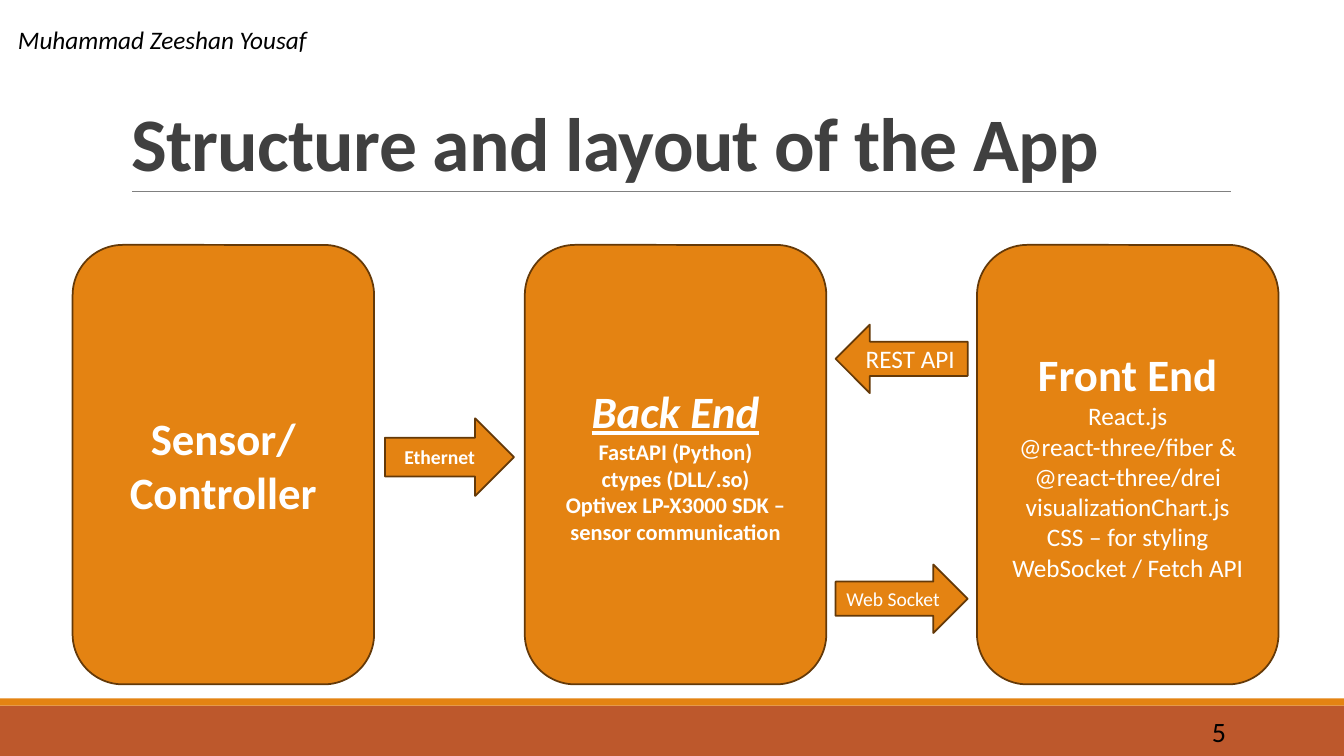
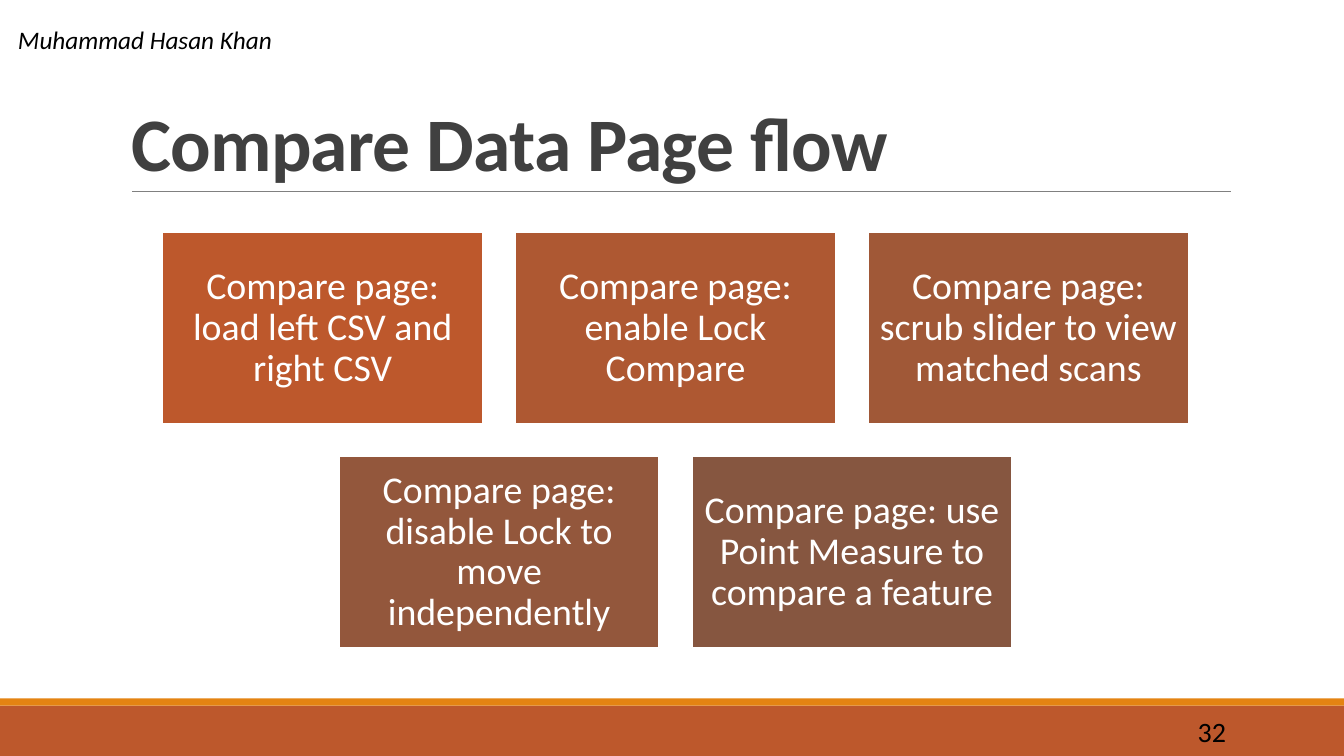
import pptx
import pptx.util
import pptx.dml.color
import pptx.enum.shapes
import pptx.enum.text
import pptx.oxml

Inches = pptx.util.Inches
Pt = pptx.util.Pt
RGBColor = pptx.dml.color.RGBColor
SHAPE = pptx.enum.shapes.MSO_SHAPE
ALIGN = pptx.enum.text.PP_ALIGN
ANCHOR = pptx.enum.text.MSO_ANCHOR

FONT = "Calibri"
WHITE = RGBColor(0xFF, 0xFF, 0xFF)
BLACK = RGBColor(0, 0, 0)
TITLE_GREY = RGBColor(0x40, 0x40, 0x40)
RULE_GREY = RGBColor(0x80, 0x80, 0x80)
ORANGE = RGBColor(0xE4, 0x83, 0x12)
RUST = RGBColor(0xBD, 0x58, 0x2C)
OUTLINE = RGBColor(0x64, 0x39, 0x08)
CARD_FILLS = [RUST, RGBColor(0xAE, 0x58, 0x32), RGBColor(0xA0, 0x58, 0x37),
              RGBColor(0x93, 0x57, 0x3C), RGBColor(0x86, 0x56, 0x40)]

SLIDE_W, SLIDE_H = 13.33, 7.5


def write(p, text, size, color, align=ALIGN.LEFT, bold=False, italic=False, underline=False):
    p.text = text
    p.alignment = align
    for r in p.runs:
        f = r.font
        f.name, f.size, f.color.rgb = FONT, Pt(size), color
        f.bold, f.italic, f.underline = bold, italic, underline


def add_box(s, kind, box, fill, line=None):
    sp = s.shapes.add_shape(kind, *map(Inches, box))
    sp.shadow.inherit = False
    sp.fill.solid()
    sp.fill.fore_color.rgb = fill
    if line is None:
        sp.line.fill.background()
    else:
        sp.line.color.rgb = line
        sp.line.width = Pt(1.25)
    sp.text_frame.word_wrap = True
    sp.text_frame.vertical_anchor = ANCHOR.MIDDLE
    return sp


def add_label(s, box, text, size, anchor=ANCHOR.TOP, **style):
    tf = s.shapes.add_textbox(*map(Inches, box)).text_frame
    tf.word_wrap = True
    tf.vertical_anchor = anchor
    write(tf.paragraphs[0], text, size, BLACK, **style)


def add_title(s, text):
    sp = s.shapes.title
    sp.left, sp.top, sp.width, sp.height = map(Inches, (1.2, 0.31, 11, 1.59))
    tf = sp.text_frame
    tf.auto_size = pptx.enum.text.MSO_AUTO_SIZE.NONE
    tf.vertical_anchor = ANCHOR.BOTTOM
    p = tf.paragraphs[0]
    write(p, text, 54, TITLE_GREY, bold=True)
    p.line_spacing = 0.85
    p.runs[0]._r.get_or_add_rPr().set("spc", "-50")


def add_rule(s, left, right, y):
    cx = s.shapes.add_connector(pptx.enum.shapes.MSO_CONNECTOR.STRAIGHT,
                                Inches(left), Inches(y), Inches(right), Inches(y))
    cx.line.color.rgb = RULE_GREY
    cx.line.width = Pt(0.5)
    cx._element.spPr.append(pptx.oxml.parse_xml(
        '<a:effectLst xmlns:a="http://schemas.openxmlformats.org/drawingml/2006/main"/>'))


def add_page(prs, title, author, number):
    s = prs.slides.add_slide(prs.slide_layouts[5])
    add_box(s, SHAPE.RECTANGLE, (0, 7, SLIDE_W, 0.5), RUST)
    add_box(s, SHAPE.RECTANGLE, (0, 6.93, SLIDE_W, 0.07), ORANGE)
    add_rule(s, 1.31, 12.21, 1.9)
    add_title(s, title)
    add_label(s, (0.08, 0.19, 6.92, 0.4), author, 18, italic=True)
    add_label(s, (10.83, 7.06, 1.43, 0.4), number, 20, ANCHOR.MIDDLE, align=ALIGN.RIGHT)
    return s


def add_module(s, box, headings, details=(), size=16, bold=False, emphasis=False):
    tf = add_box(s, SHAPE.ROUNDED_RECTANGLE, box, ORANGE, OUTLINE).text_frame
    tf.text = "\n".join([*headings, *details])
    for i, p in enumerate(tf.paragraphs):
        if i < len(headings):
            write(p, p.text, 32, WHITE, ALIGN.CENTER, True, emphasis, emphasis)
        else:
            write(p, p.text, size, WHITE, ALIGN.CENTER, bold)


def add_flow_arrow(s, kind, box, text, size, bold=False):
    tf = add_box(s, kind, box, ORANGE, OUTLINE).text_frame
    tf.margin_left = tf.margin_right = 0
    write(tf.paragraphs[0], text, size, WHITE, ALIGN.CENTER, bold)


def add_architecture(s, box):
    left, top, width, height = box
    module_w = 2.99
    gap = (width - 3 * module_w) / 2
    modules = [
        dict(headings=["Sensor/", "Controller"]),
        dict(headings=["Back End"], bold=True, emphasis=True,
             details=["FastAPI (Python)", "ctypes (DLL/.so)",
                      "Optivex LP-X3000 SDK – sensor communication"]),
        dict(headings=["Front End"], size=18,
             details=["React.js",
                      "@react-three/fiber & @react-three/drei visualizationChart.js",
                      "CSS – for styling", "WebSocket / Fetch API"]),
    ]
    for i, module in enumerate(modules):
        add_module(s, (left + i * (module_w + gap), top, module_w, height), **module)

    arrows = [
        (0, SHAPE.RIGHT_ARROW, 1.72, 1.28, 0.77, "Ethernet", 14, True),
        (1, SHAPE.LEFT_ARROW, 0.79, 1.31, 0.68, "REST API", 18, False),
        (1, SHAPE.RIGHT_ARROW, 3.17, 1.31, 0.68, "Web Socket", 14, False),
    ]
    for i, kind, dy, w, h, text, size, bold in arrows:
        x = left + (i + 1) * module_w + i * gap + (gap - w) / 2
        add_flow_arrow(s, kind, (x, top + dy, w, h), text, size, bold)


def add_cards(s, box, texts, per_row=3, gap=0.32):
    left, top, width, height = box
    rows = -(-len(texts) // per_row)
    w = (width - (per_row - 1) * gap) / per_row
    h = (height - (rows - 1) * gap) / rows
    for i, (text, fill) in enumerate(zip(texts, CARD_FILLS)):
        row, col = divmod(i, per_row)
        count = min(per_row, len(texts) - row * per_row)
        indent = (per_row - count) * (w + gap) / 2
        card = (left + indent + col * (w + gap), top + row * (h + gap), w, h)
        tf = add_box(s, SHAPE.RECTANGLE, card, fill, WHITE).text_frame
        tf.margin_left = tf.margin_right = tf.margin_top = tf.margin_bottom = Inches(0.11)
        p = tf.paragraphs[0]
        write(p, text, 27, WHITE, ALIGN.CENTER)
        p.line_spacing = 0.9


def main():
    prs = pptx.Presentation()
    prs.slide_width, prs.slide_height = Inches(SLIDE_W), Inches(SLIDE_H)

    s = add_page(prs, "Structure and layout of the App", "Muhammad Zeeshan Yousaf", "5")
    add_architecture(s, (0.72, 2.43, 11.96, 4.36))

    s = add_page(prs, "Compare Data Page flow", "Muhammad Hasan Khan", "32")
    add_cards(s, (1.61, 2.3, 10.18, 4.13), [
        "Compare page: load left CSV and right CSV",
        "Compare page: enable Lock Compare",
        "Compare page: scrub slider to view matched scans",
        "Compare page: disable Lock to move independently",
        "Compare page: use Point Measure to compare a feature",
    ])

    prs.save("out.pptx")


if __name__ == "__main__":
    main()
